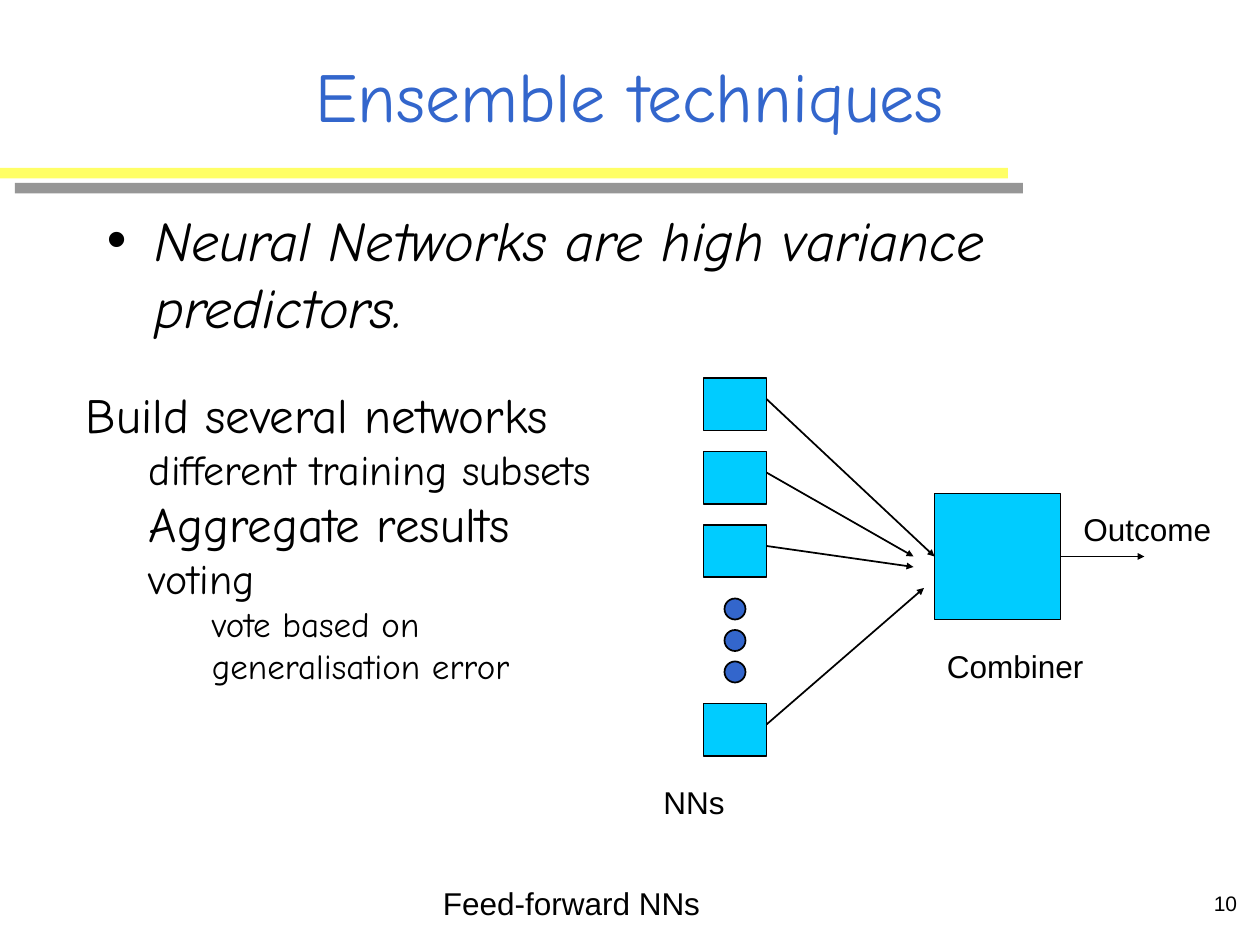
from pptx import Presentation
from pptx.dml.color import RGBColor
from pptx.enum.shapes import MSO_CONNECTOR, MSO_SHAPE
from pptx.enum.text import MSO_ANCHOR, MSO_AUTO_SIZE, PP_ALIGN
from pptx.oxml.ns import qn
from pptx.util import Pt
from lxml.etree import SubElement

INK = {"black": "000000", "blue": "3366CC", "cyan": "00CCFF",
       "yellow": "FFFF66", "gray": "969696"}
HAND, SANS = "Comic Neue", "Arial"


def color(name):
    return RGBColor.from_string(INK[name])


class Board:
    def __init__(self, slide):
        self.slide = slide
        self.style = {"name": SANS, "size": Pt(18), "italic": False}

    def shape(self, kind, box, fill, edge=True):
        item = self.slide.shapes.add_shape(kind, *map(Pt, box))
        item.shadow.inherit = False
        item.fill.solid()
        item.fill.fore_color.rgb = color(fill)
        if edge:
            item.line.color.rgb = color("black")
            item.line.width = Pt(1)
        else:
            item.line.fill.background()
        return item

    def arrow(self, start, end):
        line = self.slide.shapes.add_connector(
            MSO_CONNECTOR.STRAIGHT, *map(Pt, start + end))
        line.line.color.rgb = color("black")
        line.line.width = Pt(1)
        SubElement(line.line._get_or_add_ln(), qn("a:tailEnd"),
                   type="triangle", w="sm", len="sm")
        SubElement(line._element.spPr, qn("a:effectLst"))
        return line

    def text(self, box, rows, ink="black", wrap=True, anchor=MSO_ANCHOR.TOP,
             align=PP_ALIGN.LEFT, **font):
        """Each row is (text, size, left indent)."""
        frame = self.slide.shapes.add_textbox(*map(Pt, box)).text_frame
        frame.word_wrap = wrap
        if not wrap:
            frame.auto_size = MSO_AUTO_SIZE.SHAPE_TO_FIT_TEXT
        frame.vertical_anchor = anchor
        for i, (words, size, indent) in enumerate(rows):
            para = frame.add_paragraph() if i else frame.paragraphs[0]
            para.alignment = align
            if indent:
                para._p.get_or_add_pPr().set("marL", str(Pt(indent)))
            run = para.add_run()
            run.text = words
            run.font.color.rgb = color(ink)
            for key, value in {**self.style, "size": Pt(size), **font}.items():
                setattr(run.font, key, value)
        return frame

    def bullet(self, para, hang):
        props = para._p.get_or_add_pPr()
        props.set("indent", str(-Pt(hang)))
        SubElement(props, qn("a:buFont"), typeface=SANS)
        SubElement(props, qn("a:buChar"), char="•")


def main():
    deck = Presentation()
    deck.slide_width, deck.slide_height = Pt(720), Pt(540)
    board = Board(deck.slides.add_slide(deck.slide_layouts[6]))

    # Title and its rule with a hard shadow
    for shift, fill in ((8.6, "gray"), (0, "yellow")):
        board.shape(MSO_SHAPE.RECTANGLE, (shift, 96 + shift, 576, 6), fill, False)
    board.text((54, 18, 612, 72), [("Ensemble techniques", 40, 0)], "blue",
               anchor=MSO_ANCHOR.MIDDLE, align=PP_ALIGN.CENTER, name=HAND)

    # Main point
    claim = board.text(
        (54, 114, 618, 90),
        [("Neural Networks are high variance predictors.", 32, 27)],
        name=HAND, italic=True).paragraphs[0]
    claim.space_before = Pt(8)
    board.bullet(claim, 27)

    # Networks, dots and combiner
    left, wide, high = 402, 36, 30
    tops = (216, 258, 300, 402)
    for top in tops:
        board.shape(MSO_SHAPE.RECTANGLE, (left, top, wide, high), "cyan")
    hub = board.shape(MSO_SHAPE.RECTANGLE, (534, 282, 72, 72), "cyan")
    for i in range(3):
        board.shape(MSO_SHAPE.OVAL, (414, 342 + 18 * i, 12, 12), "blue")

    # Arrows into and out of the combiner
    ends = ((534, 318), (522, 318), (522, 324), (528, 336))
    lines = [board.arrow((left + wide, top + 12), end)
             for top, end in zip(tops, ends)]
    lines[0].end_connect(hub, 1)
    board.arrow((606, 318), (654, 318)).begin_connect(hub, 3)

    # Diagram labels
    for words, x, y, width in (("Outcome", 612, 288, 87.4),
                               ("Combiner", 534, 366, 92.4),
                               ("NNs", 372, 444, 49.4)):
        board.text((x, y, width, 29), [(words, 18, 0)], wrap=False)

    # Steps
    board.text((42, 216, 318, 264), [
        ("Build several networks", 28, 0),
        ("different training subsets", 24, 36),
        ("Aggregate results", 28, 36),
        ("voting", 24, 36),
        ("vote based on generalisation error", 20, 72),
    ], name=HAND)

    # Footer and page number
    board.text((246, 498, 228, 36), [("Feed-forward NNs", 18, 0)],
               anchor=MSO_ANCHOR.MIDDLE)
    board.text((564, 498, 150, 36), [("10", 12, 0)],
               anchor=MSO_ANCHOR.MIDDLE, align=PP_ALIGN.RIGHT)

    deck.save("out.pptx")


if __name__ == "__main__":
    main()
